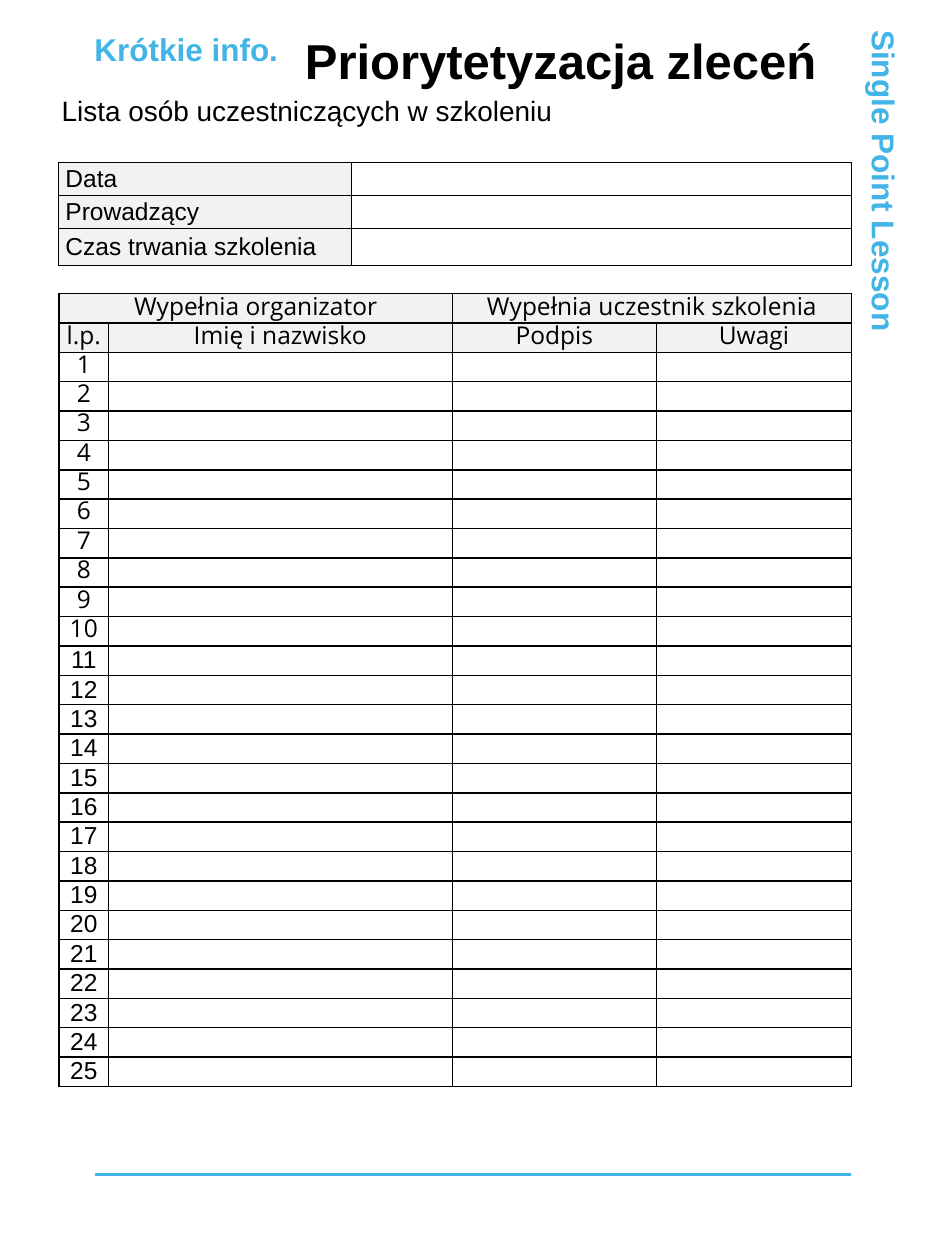
from dataclasses import dataclass

from lxml.etree import SubElement
from pptx import Presentation
from pptx.dml.color import RGBColor
from pptx.enum.shapes import MSO_CONNECTOR, MSO_SHAPE
from pptx.enum.text import MSO_ANCHOR, PP_ALIGN
from pptx.oxml.ns import qn
from pptx.util import Inches, Pt


@dataclass(frozen=True)
class Theme:
    accent: str = "42B4E6"
    ink: str = "000000"
    header: str = "F2F2F2"
    paper: str = "FFFFFF"
    sans: str = "Arial"
    table_font: str = "Open Sans"
    title: int = 28
    label: int = 18
    subtitle: int = 16
    body: int = 14


THEME = Theme()
WIDTH, HEIGHT = 7.5, 10
LEFT, RIGHT, TOP = 0.1 * WIDTH, 0.9 * WIDTH, 0.24
PARTICIPANTS = 25


def color(code):
    return RGBColor.from_string(code)


def write(frame, text, size=THEME.body, font=THEME.sans, ink=THEME.ink,
          bold=False, align=PP_ALIGN.LEFT, spacing=None):
    """Fill a text frame with one formatted paragraph."""
    frame.word_wrap = True
    para = frame.paragraphs[0]
    para.alignment = align
    para.line_spacing = spacing
    span = para.add_run()
    span.text = text
    span.font.size, span.font.name, span.font.bold = Pt(size), font, bold
    span.font.color.rgb = color(ink)


def trim(frame):
    frame.margin_left = frame.margin_right = 0
    frame.margin_top = frame.margin_bottom = 0
    frame.vertical_anchor = MSO_ANCHOR.TOP


def add_label(page, box, text, **style):
    label = page.shapes.add_textbox(*map(Inches, box))
    trim(label.text_frame)
    write(label.text_frame, text, **style)


def add_title(page, box, text):
    title = page.shapes.title
    title.left, title.top, title.width, title.height = map(Inches, box)
    trim(title.text_frame)
    write(title.text_frame, text, size=THEME.title, bold=True)


def add_side_label(page, box, text):
    """Place a label that reads downwards inside an upright box."""
    left, top, width, height = box
    shift = (height - width) / 2
    side = page.shapes.add_shape(MSO_SHAPE.RECTANGLE, *map(
        Inches, (left - shift, top + shift, height, width)))
    side.rotation = 90
    side.shadow.inherit = False
    side.fill.solid()
    side.fill.fore_color.rgb = color(THEME.paper)
    side.line.fill.background()
    trim(side.text_frame)
    write(side.text_frame, text, size=THEME.label, ink=THEME.accent, bold=True)


def add_rule(page, y):
    rule = page.shapes.add_connector(
        MSO_CONNECTOR.STRAIGHT, *map(Inches, (LEFT, y, RIGHT, y)))
    rule.line.color.rgb = color(THEME.accent)
    rule.line.width = Pt(1.5)
    SubElement(rule._element.spPr, qn("a:effectLst"))


def format_cell(cell, inset, border, fill=None, middle=False):
    cell.margin_left = cell.margin_right = Inches(inset)
    cell.margin_top = cell.margin_bottom = 0
    if middle:
        cell.vertical_anchor = MSO_ANCHOR.MIDDLE
    properties = cell._tc.get_or_add_tcPr()
    for side in ("a:lnL", "a:lnR", "a:lnT", "a:lnB"):
        line = SubElement(properties, qn(side), w=str(Pt(border)))
        solid = SubElement(line, qn("a:solidFill"))
        SubElement(solid, qn("a:srgbClr"), val=THEME.ink)
    if fill:
        cell.fill.solid()
        cell.fill.fore_color.rgb = color(fill)
    else:
        cell.fill.background()


def add_grid(page, left, top, columns, rows):
    frame = page.shapes.add_table(
        len(rows), len(columns),
        *map(Inches, (left, top, sum(columns), sum(rows))))
    table = frame.table
    table.first_row = table.horz_banding = False
    for column, width in zip(table.columns, columns):
        column.width = Inches(width)
    for row, height in zip(table.rows, rows):
        row.height = Inches(height)
    return table


def leave_empty(cell):
    """Keep the blank line shorter than its row."""
    para = cell.text_frame.paragraphs[0]
    SubElement(para._p, qn("a:endParaRPr"), sz="1200")


def add_session_table(page, left, top, width):
    labels = ("Data", "Prowadzący", "Czas trwania szkolenia")
    table = add_grid(page, left, top, (0.37 * width, 0.63 * width),
                     (0.26, 0.26, 0.3))
    for row, label in enumerate(labels):
        name, value = table.cell(row, 0), table.cell(row, 1)
        format_cell(name, 0.06, 0.5, THEME.header, middle=True)
        write(name.text_frame, label)
        format_cell(value, 0.06, 0.5)
        leave_empty(value)


def add_attendance_table(page, left, top, height):
    headings = [
        ("Wypełnia organizator", "", "Wypełnia uczestnik szkolenia", ""),
        ("l.p.", "Imię i nazwisko", "Podpis", "Uwagi"),
    ]
    numbers = [(str(n), "", "", "") for n in range(1, PARTICIPANTS + 1)]
    content = headings + numbers
    table = add_grid(page, left, top, (0.39, 2.73, 1.62, 1.55),
                     [height / len(content)] * len(content))
    for row, texts in enumerate(content):
        heading = row < len(headings)
        # Numbers from 11 on are set in the sans face
        font = THEME.table_font if row < len(headings) + 10 else THEME.sans
        for column, text in enumerate(texts):
            cell = table.cell(row, column)
            format_cell(cell, 0.04, 1, THEME.header if heading else None,
                        middle=heading)
            if text:
                write(cell.text_frame, text, font=font,
                      align=PP_ALIGN.CENTER, spacing=Pt(16))
            else:
                leave_empty(cell)
    for column in (0, 2):
        table.cell(0, column).merge(table.cell(0, column + 1))


def build_training_list(deck):
    page = deck.slides.add_slide(deck.slide_layouts[5])
    # Heading and frame
    add_label(page, (LEFT, TOP, 2.76, 0.3), "Krótkie info.",
              size=THEME.label, ink=THEME.accent, bold=True)
    add_side_label(page, (6.87, TOP, 0.3, 5.82), "Single Point Lesson")
    add_rule(page, 9.32)
    add_title(page, (2.42, TOP, RIGHT - 2.42, 0.47), "Priorytetyzacja zleceń")
    add_label(page, (0.49, 0.74, 6.1, 0.37),
              "Lista osób uczestniczących w szkoleniu", size=THEME.subtitle)
    # Forms
    add_session_table(page, 0.46, 1.29, 6.3)
    add_attendance_table(page, 0.47, 2.33, 6.3)


deck = Presentation()
deck.slide_width, deck.slide_height = Inches(WIDTH), Inches(HEIGHT)
build_training_list(deck)
deck.save("out.pptx")
